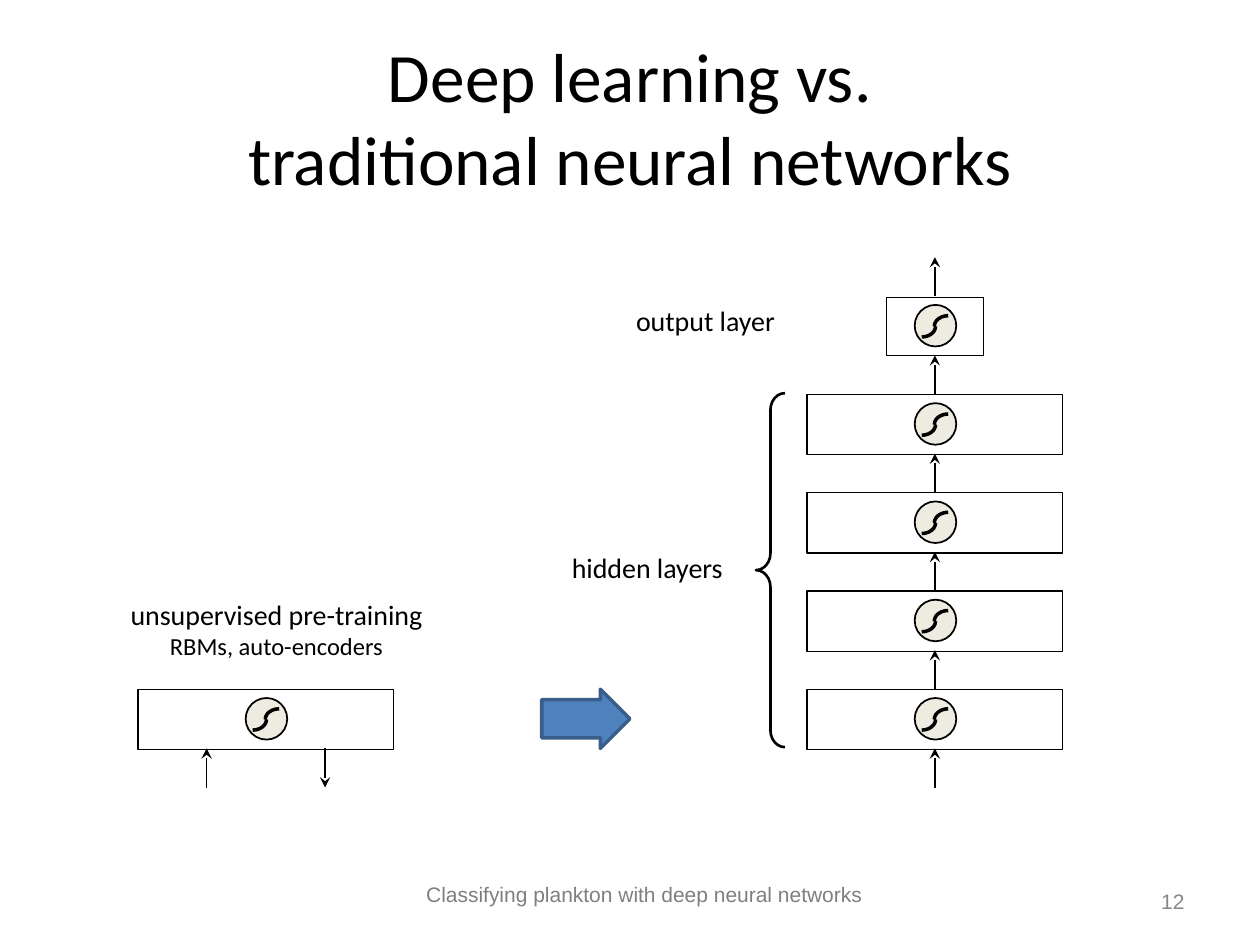
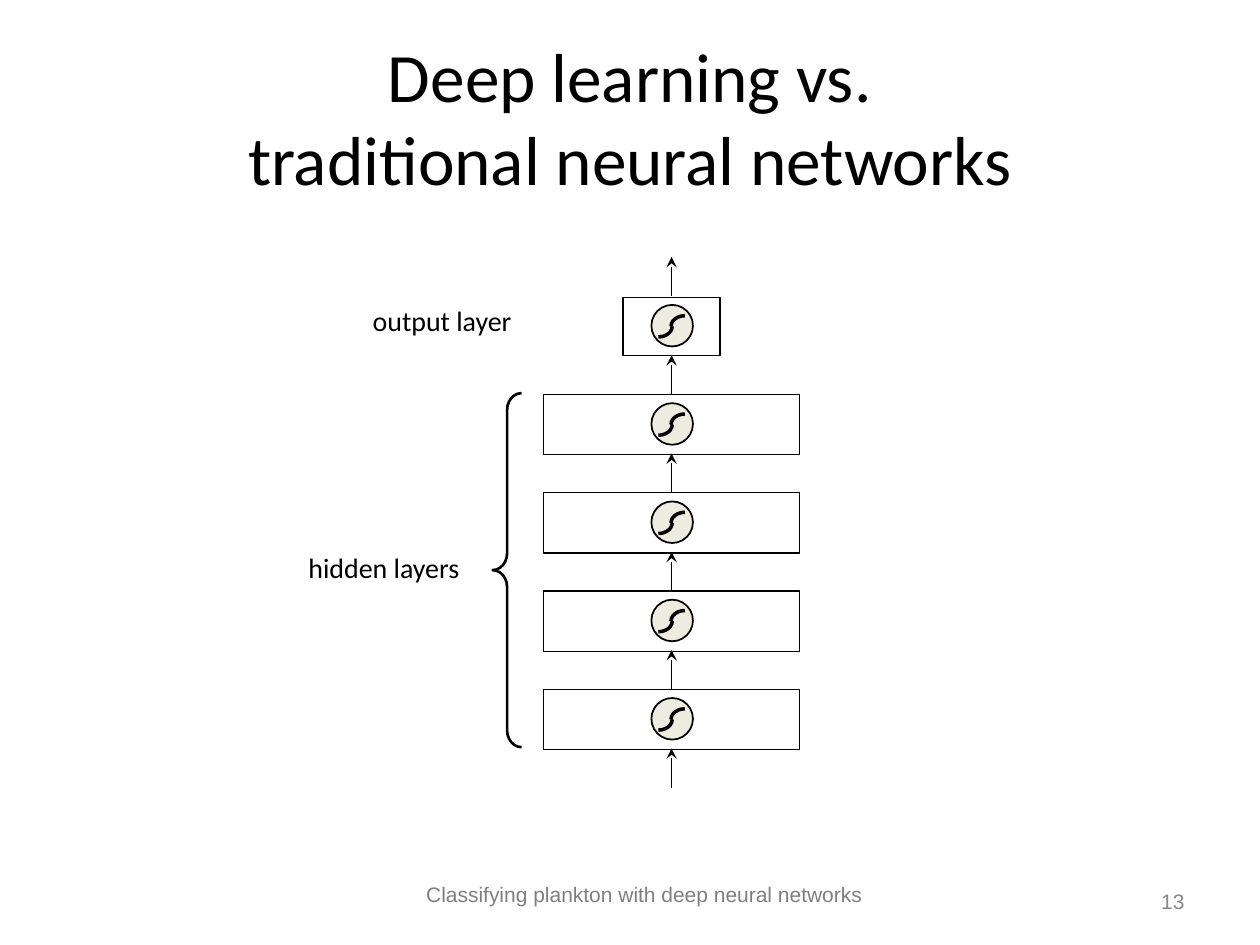
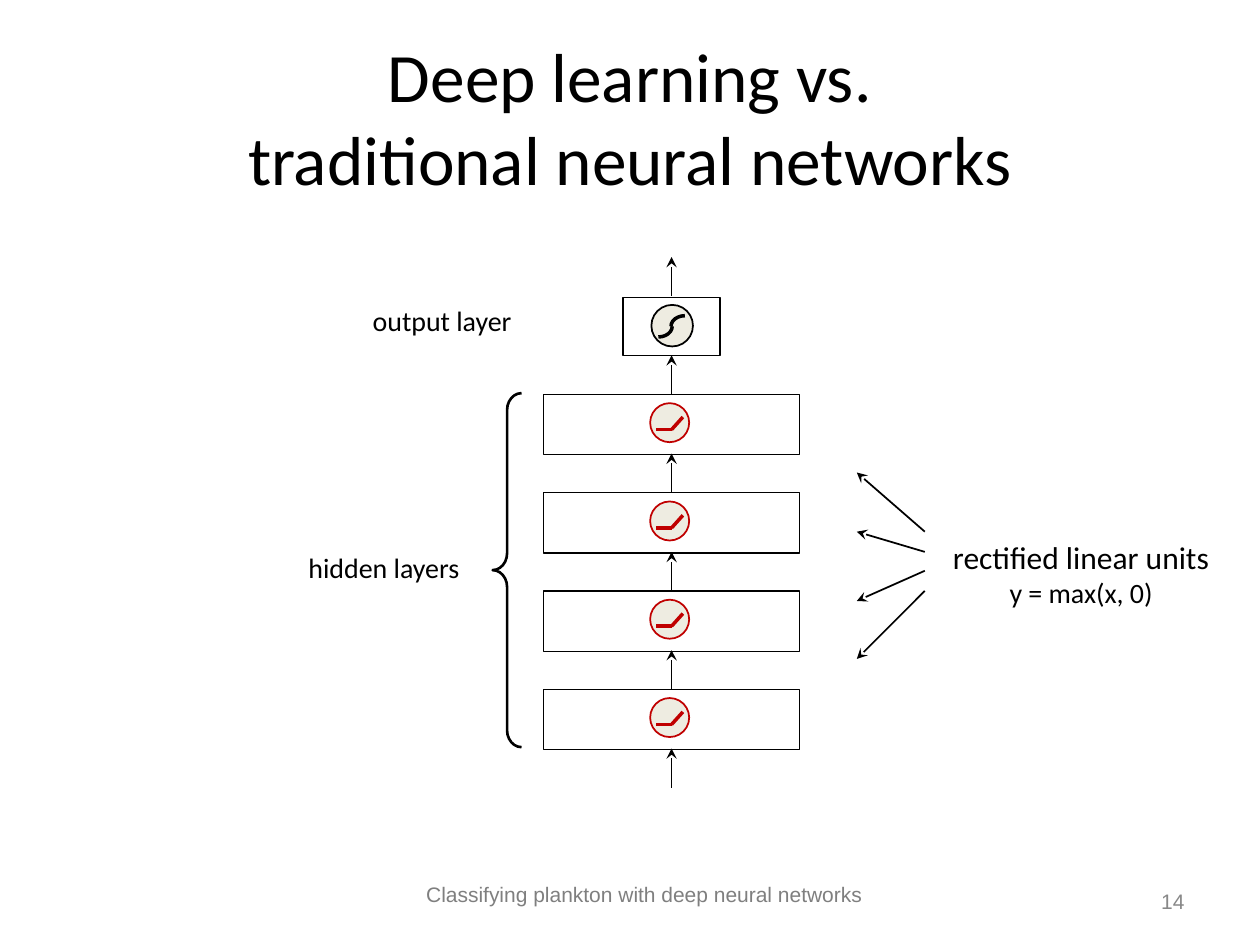
"""Build three slides that compare deep learning with traditional neural networks."""
from lxml import etree
from pptx import Presentation
from pptx.dml.color import RGBColor
from pptx.enum.shapes import MSO_CONNECTOR, MSO_SHAPE
from pptx.enum.text import MSO_ANCHOR, MSO_AUTO_SIZE, PP_ALIGN
from pptx.oxml.ns import qn
from pptx.util import Inches, Pt

STRAIGHT = MSO_CONNECTOR.STRAIGHT
RECTANGLE, OVAL, ARC = MSO_SHAPE.RECTANGLE, MSO_SHAPE.OVAL, MSO_SHAPE.ARC
LEFT_BRACE, RIGHT_ARROW = MSO_SHAPE.LEFT_BRACE, MSO_SHAPE.RIGHT_ARROW
LEFT, CENTER, RIGHT = PP_ALIGN.LEFT, PP_ALIGN.CENTER, PP_ALIGN.RIGHT
TOP, MIDDLE = MSO_ANCHOR.TOP, MSO_ANCHOR.MIDDLE

BLACK = RGBColor(0x00, 0x00, 0x00)
RED = RGBColor(0xC0, 0x00, 0x00)
CREAM = RGBColor(0xEE, 0xEC, 0xE1)
BLUE = RGBColor(0x4F, 0x81, 0xBD)
DARK_BLUE = RGBColor(0x39, 0x5E, 0x89)
FOOTER_GRAY = RGBColor(0x7F, 0x7F, 0x7F)
NUMBER_GRAY = RGBColor(0x88, 0x88, 0x88)

TITLE = "Deep learning vs.\vtraditional neural networks"
FOOTER = "Classifying plankton with deep neural networks"
PRETRAINING = [("unsupervised pre-training", 16), ("RBMs, auto-encoders", 14)]
RECTIFIED = [("rectified linear units", 18), ("y = max(x, 0)", 16)]
POINTERS = [(4.22, 3.75), (4.38, 4.22), (4.53, 4.77), (4.69, 5.23)]

HIDDEN_COUNT = 4
PITCH = 0.78
OUTPUT_MIDDLE = 2.59
FIRST_ARROW_TIP = 2.04
ARROW_LENGTH = 0.31
HIDDEN_SIZE = (2.03, 0.48)
OUTPUT_SIZE = (0.77, 0.46)


def write(frame, lines, align=LEFT, anchor=TOP, font="Calibri", color=BLACK):
    settings = {"word_wrap": True, "auto_size": MSO_AUTO_SIZE.NONE,
                "vertical_anchor": anchor}
    for name, value in settings.items():
        setattr(frame, name, value)
    frame.text = "\n".join(text for text, _ in lines)
    for para, (_, size) in zip(frame.paragraphs, lines):
        para.alignment = align
        for span in para.runs:
            for name, value in {"name": font, "size": Pt(size)}.items():
                setattr(span.font, name, value)
            span.font.color.rgb = color


def add_text(page, place, lines, **style):
    box = page.shapes.add_textbox(*map(Inches, place))
    write(box.text_frame, lines, **style)


def add_outline(shapes, kind, place, color=BLACK, width=0.75, fill=None,
                rotation=0, adjustments=()):
    shape = shapes.add_shape(kind, *map(Inches, place))
    shape.shadow.inherit = False
    shape.rotation = rotation
    for index, value in enumerate(adjustments):
        shape.adjustments[index] = value
    if fill is None:
        shape.fill.background()
    else:
        shape.fill.solid()
        shape.fill.fore_color.rgb = fill
    shape.line.color.rgb = color
    shape.line.width = Pt(width)


def add_line(shapes, start, end, color=BLACK, width=1, arrow=True):
    line = shapes.add_connector(STRAIGHT, *map(Inches, start + end))
    line.line.color.rgb = color
    line.line.width = Pt(width)
    if arrow:
        outline = line.line._get_or_add_ln()
        etree.SubElement(outline, qn("a:tailEnd"), type="stealth")
    etree.SubElement(line._element.spPr, qn("a:effectLst"))


def add_sigmoid(page, center, middle):
    parts = page.shapes.add_group_shape().shapes
    left, top = center - 0.16, middle - 0.17
    add_outline(parts, OVAL, (left, top, 0.33, 0.33), width=1, fill=CREAM)
    for shift, rotation in ((-0.03, 90), (0.18, 270)):
        add_outline(parts, ARC, (left + shift, top + 0.06, 0.17, 0.22),
                    width=2, rotation=rotation)


def add_rectifier(page, center, middle):
    parts = page.shapes.add_group_shape().shapes
    left, top = center - 0.17, middle - 0.17
    add_outline(parts, OVAL, (left, top, 0.31, 0.31), RED, 1, CREAM)
    bend = [(left + x, top + y) for x, y in ((0.05, 0.21), (0.17, 0.21), (0.26, 0.11))]
    for start, end in zip(bend, bend[1:]):
        add_line(parts, start, end, RED, 2, arrow=False)


def add_layer(page, center, middle, size, add_unit):
    width, height = size
    place = (center - width / 2, middle - height / 2, width, height)
    add_outline(page.shapes, RECTANGLE, place)
    add_unit(page, center, middle)


def add_network(page, center, add_hidden_unit):
    add_layer(page, center, OUTPUT_MIDDLE, OUTPUT_SIZE, add_sigmoid)
    for row in range(1, HIDDEN_COUNT + 1):
        add_layer(page, center, OUTPUT_MIDDLE + row * PITCH, HIDDEN_SIZE, add_hidden_unit)
    for row in range(HIDDEN_COUNT + 2):
        tip = FIRST_ARROW_TIP + row * PITCH
        add_line(page.shapes, (center, tip + ARROW_LENGTH), (center, tip))
    add_text(page, (center - 2.47, 2.36, 1.37, 0.37), [("output layer", 16)])
    add_text(page, (center - 2.98, 4.32, 1.53, 0.37), [("hidden layers", 16)])
    add_outline(page.shapes, LEFT_BRACE, (center - 1.42, 3.12, 0.23, 2.81),
                width=1.5, adjustments=(0.581, 0.5))


def add_pretraining(page):
    add_layer(page, 2.11, OUTPUT_MIDDLE + HIDDEN_COUNT * PITCH, HIDDEN_SIZE, add_sigmoid)
    add_line(page.shapes, (1.64, 6.25), (1.64, 5.94))
    add_line(page.shapes, (2.58, 5.94), (2.58, 6.25))
    add_text(page, (0.83, 4.69, 2.73, 0.61), PRETRAINING, align=CENTER)
    add_outline(page.shapes, RIGHT_ARROW, (4.3, 5.47, 0.7, 0.47), DARK_BLUE, 2, BLUE,
                adjustments=(0.644, 0.5))


def add_rectified_note(page):
    add_text(page, (7.39, 4.22, 2.38, 0.67), RECTIFIED, align=CENTER)
    for start, end in POINTERS:
        add_line(page.shapes, (7.34, start), (6.8, end))


SLIDES = [
    {"number": 12, "center": 7.42, "unit": add_sigmoid, "extra": add_pretraining},
    {"number": 13, "center": 5.33, "unit": add_sigmoid, "extra": None},
    {"number": 14, "center": 5.33, "unit": add_rectifier, "extra": add_rectified_note},
]


def add_page(deck, number):
    page = deck.slides.add_slide(deck.slide_layouts[5])
    title = page.shapes.title
    place = {"left": 0.5, "top": 0.3, "width": 9, "height": 1.25}
    for name, value in place.items():
        setattr(title, name, Inches(value))
    write(title.text_frame, [(TITLE, 39.6)], align=CENTER, anchor=MIDDLE)
    add_text(page, (1.25, 6.95, 7.73, 0.3), [(FOOTER, 12)],
             align=CENTER, font="Arial", color=FOOTER_GRAY)
    add_text(page, (8.52, 6.95, 0.98, 0.4), [(str(number), 12)],
             align=RIGHT, anchor=MIDDLE, font="Arial", color=NUMBER_GRAY)
    return page


def main():
    deck = Presentation()
    deck.slide_width, deck.slide_height = Inches(10), Inches(7.5)
    for slide in SLIDES:
        page = add_page(deck, slide["number"])
        add_network(page, slide["center"], slide["unit"])
        if slide["extra"]:
            slide["extra"](page)
    deck.save("out.pptx")


if __name__ == "__main__":
    main()
